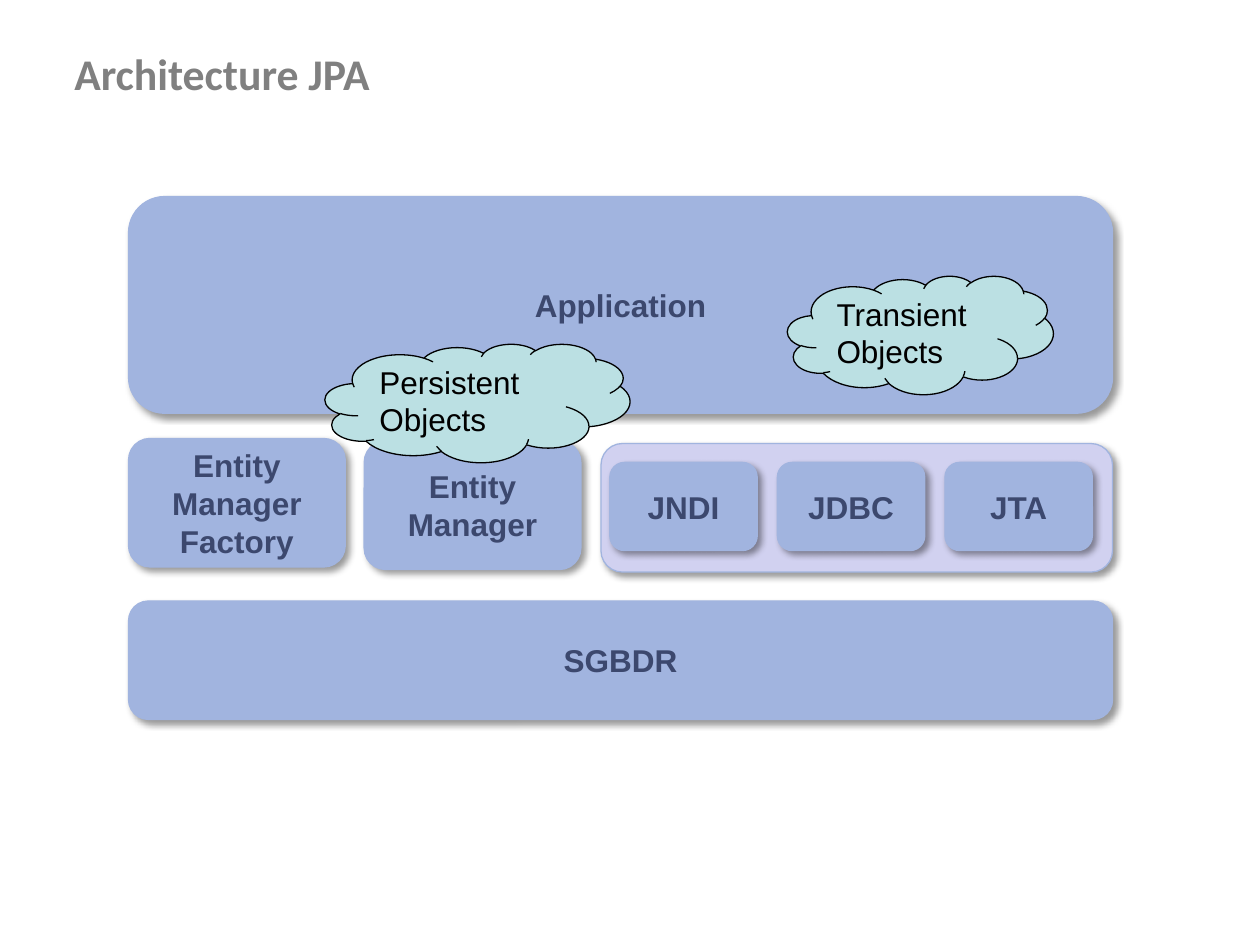
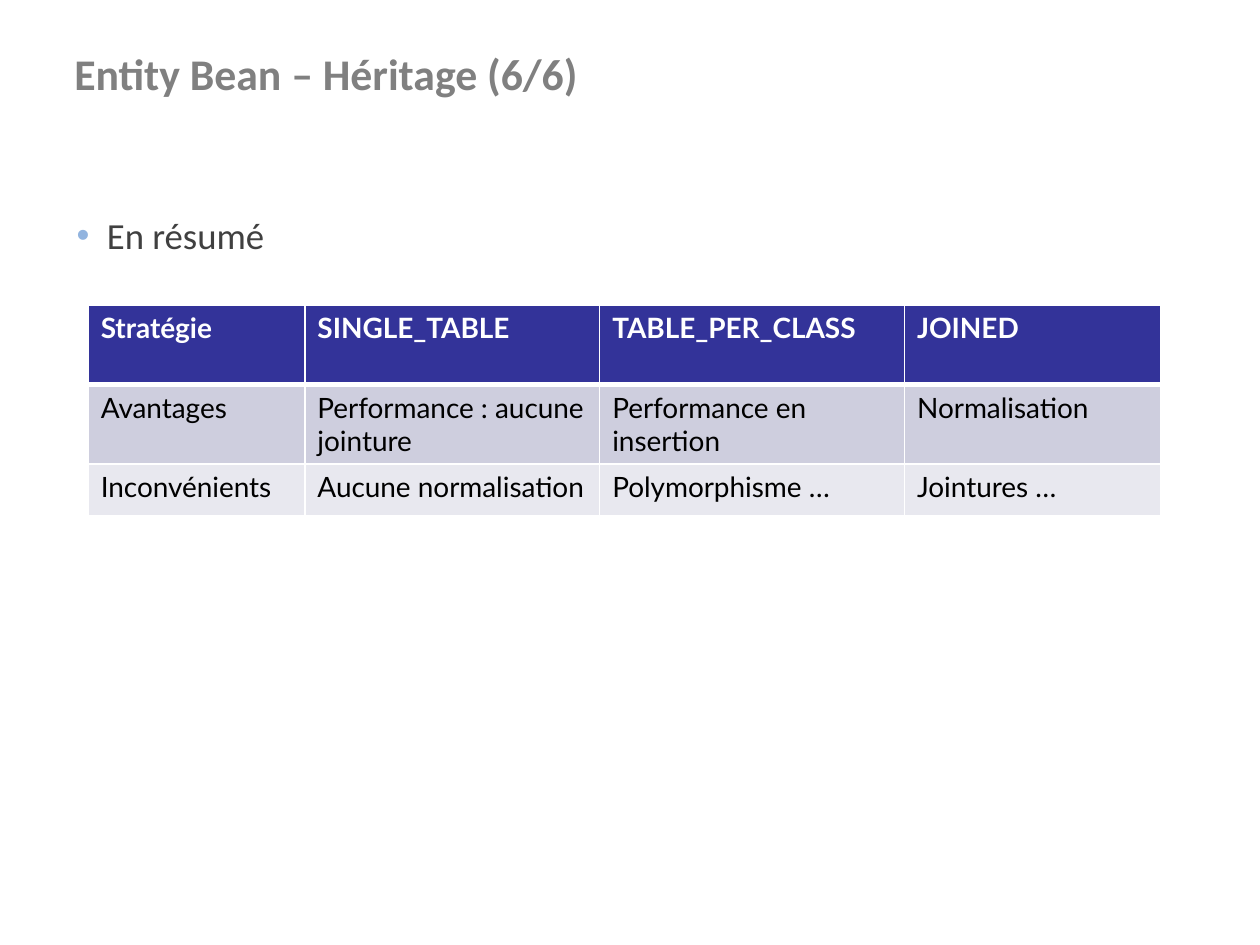
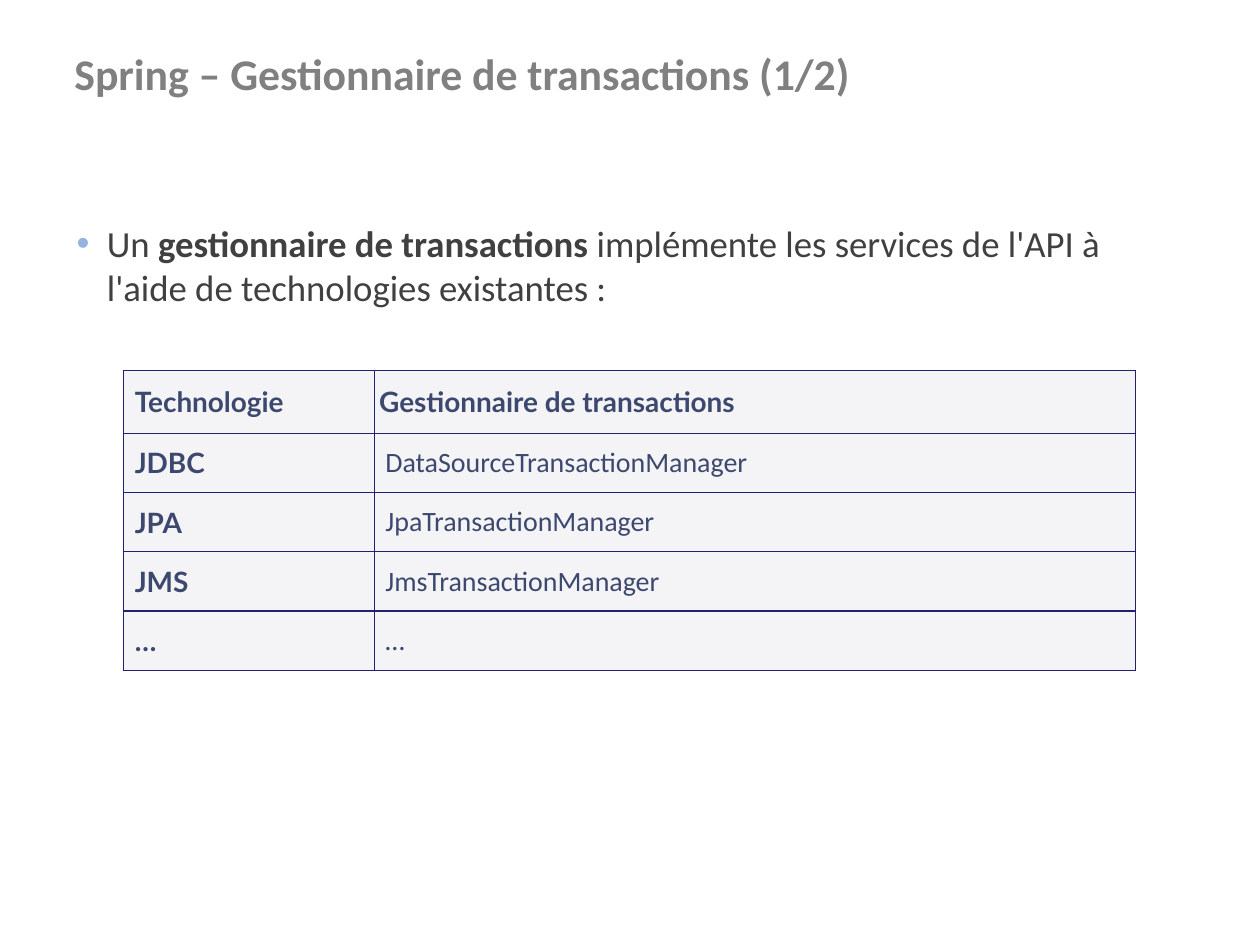
"""Build three slides on JPA architecture, inheritance strategies and transaction managers."""
import dataclasses
import typing

import lxml.etree
import pptx
import pptx.dml.color
import pptx.enum.shapes
import pptx.enum.text
import pptx.oxml.ns
import pptx.util

RGBColor = pptx.dml.color.RGBColor
Shape = pptx.enum.shapes.MSO_SHAPE
Align = pptx.enum.text.PP_ALIGN
Anchor = pptx.enum.text.MSO_ANCHOR
qn = pptx.oxml.ns.qn

SLIDE_WIDTH = pptx.util.Inches(10)
SLIDE_HEIGHT = pptx.util.Inches(7.5)
COLUMN = SLIDE_WIDTH / 100
ROW = SLIDE_HEIGHT / 75

WHITE = RGBColor(0xFF, 0xFF, 0xFF)
BLACK = RGBColor(0x00, 0x00, 0x00)
TITLE_GREY = RGBColor(0x80, 0x80, 0x80)
BODY_GREY = RGBColor(0x40, 0x40, 0x40)
BULLET_BLUE = RGBColor(0x92, 0xB4, 0xDF)
BLOCK_BLUE = RGBColor(0xA1, 0xB4, 0xDF)
GROUP_LILAC = RGBColor(0xD1, 0xD1, 0xF0)
CLOUD_TEAL = RGBColor(0xBB, 0xE0, 0xE3)
LABEL_NAVY = RGBColor(0x3C, 0x48, 0x6E)
HEADER_INDIGO = RGBColor(0x33, 0x33, 0x99)
BAND_DARK = RGBColor(0xCE, 0xCE, 0xDE)
BAND_LIGHT = RGBColor(0xE8, 0xE8, 0xEF)
GRID_NAVY = RGBColor(0x21, 0x21, 0x73)
CELL_PALE = RGBColor(0xF4, 0xF4, 0xF7)


@dataclasses.dataclass(frozen=True)
class Area:
    """A rectangle in grid columns and rows."""
    column: float
    row: float
    columns: float
    rows: float

    def box(self) -> tuple[int, int, int, int]:
        """Return left, top, width and height as lengths."""
        return (round(self.column * COLUMN), round(self.row * ROW),
                round(self.columns * COLUMN), round(self.rows * ROW))


@dataclasses.dataclass(frozen=True)
class Block:
    """A rounded block of the architecture."""
    text: str
    area: Area
    fill: RGBColor = BLOCK_BLUE


@dataclasses.dataclass(frozen=True)
class Cloud:
    """A cloud of objects above the blocks."""
    text: str
    area: Area


TITLE_AREA = Area(4.9, 3.2, 90.1, 6.4)
SERVICE_PITCH = 13.3
BLOCKS = [
    Block("", Area(47.7, 35.2, 40.6, 10.2), GROUP_LILAC),
    Block("SGBDR", Area(10.2, 47.7, 78.1, 9.4)),
    Block("Entity Manager Factory", Area(10.2, 34.8, 17.2, 10.2)),
    Block("Application", Area(10.2, 15.6, 78.1, 17.2)),
    Block("Entity Manager", Area(28.9, 35, 17.2, 10.2)),
    *(Block(name, Area(48.4 + SERVICE_PITCH * index, 36.7, 11.7, 7))
      for index, name in enumerate(("JNDI", "JDBC", "JTA"))),
]
CLOUDS = [
    Cloud("Transient\nObjects", Area(62.5, 21.9, 21.1, 9.4)),
    Cloud("Persistent Objects", Area(25.8, 27.3, 24.2, 9.4)),
]
STRATEGIES = [
    ["Stratégie", "SINGLE_TABLE", "TABLE_PER_CLASS", "JOINED"],
    ["Avantages", "Performance : aucune jointure", "Performance en insertion", "Normalisation"],
    ["Inconvénients", "Aucune normalisation", "Polymorphisme …", "Jointures …"],
]
MANAGERS = [
    ["Technologie", "Gestionnaire de transactions"],
    ["JDBC", "DataSourceTransactionManager"],
    ["JPA", "JpaTransactionManager"],
    ["JMS", "JmsTransactionManager"],
    ["…", "…"],
]


def write(frame: typing.Any, text: str, *, font: str, size: float, color: RGBColor,
          bold: bool = False, align: Align = Align.LEFT, anchor: Anchor = Anchor.TOP,
          emphasis: str = "") -> None:
    """Fill a text frame, one paragraph a line, with the emphasis in bold."""
    frame.word_wrap = True
    frame.vertical_anchor = anchor
    for index, line in enumerate(text.split("\n")):
        paragraph = frame.add_paragraph() if index else frame.paragraphs[0]
        paragraph.alignment = align
        parts = line.partition(emphasis) if emphasis else (line,)
        for part in filter(None, parts):
            run = paragraph.add_run()
            run.text = part
            run.font.name = font
            run.font.size = pptx.util.Pt(size)
            run.font.bold = bold or part == emphasis
            run.font.color.rgb = color


def add_color(parent: typing.Any, color: RGBColor) -> typing.Any:
    """Append an RGB colour element."""
    return lxml.etree.SubElement(parent, qn("a:srgbClr"), val=str(color))


def add_shadow(shape: typing.Any) -> None:
    """Give a shape a soft shadow to the lower right."""
    effects = shape._element.spPr.find(qn("a:effectLst"))
    shadow = lxml.etree.SubElement(
        effects, qn("a:outerShdw"), blurRad=str(pptx.util.Pt(4)), dist=str(pptx.util.Pt(3)),
        dir=str(45 * 60000), algn="tl", rotWithShape="0")
    lxml.etree.SubElement(add_color(shadow, BLACK), qn("a:alpha"), val="40000")


def add_titled_slide(presentation: typing.Any, title: str) -> typing.Any:
    """Add a title-only slide with the shared title style."""
    slide = presentation.slides.add_slide(presentation.slide_layouts[5])
    shape = slide.shapes.title
    shape.left, shape.top, shape.width, shape.height = TITLE_AREA.box()
    write(shape.text_frame, title, font="Calibri", size=25, color=TITLE_GREY, bold=True)
    shape.text_frame.auto_size = pptx.enum.text.MSO_AUTO_SIZE.NONE
    return slide


def add_outline(slide: typing.Any, kind: Shape, area: Area, fill: RGBColor,
                line: RGBColor) -> typing.Any:
    """Add a filled preset shape with a thin line."""
    shape = slide.shapes.add_shape(kind, *area.box())
    shape.shadow.inherit = False
    shape.fill.solid()
    shape.fill.fore_color.rgb = fill
    shape.line.color.rgb = line
    shape.line.width = pptx.util.Pt(0.75)
    return shape


def add_block(slide: typing.Any, block: Block) -> None:
    """Draw a shadowed block with its label."""
    shape = add_outline(slide, Shape.ROUNDED_RECTANGLE, block.area, block.fill, BLOCK_BLUE)
    add_shadow(shape)
    write(shape.text_frame, block.text, font="Arial", size=18, color=LABEL_NAVY,
          bold=True, align=Align.CENTER, anchor=Anchor.MIDDLE)


def add_cloud(slide: typing.Any, cloud: Cloud) -> None:
    """Draw a cloud with its label."""
    shape = add_outline(slide, Shape.CLOUD, cloud.area, CLOUD_TEAL, BLACK)
    write(shape.text_frame, cloud.text, font="Arial", size=18, color=BLACK,
          anchor=Anchor.MIDDLE)


def add_bullet(slide: typing.Any, text: str, area: Area, emphasis: str = "") -> None:
    """Add a bulleted body text."""
    frame = slide.shapes.add_textbox(*area.box()).text_frame
    write(frame, text, font="Calibri", size=21, color=BODY_GREY, emphasis=emphasis)
    properties = frame.paragraphs[0]._p.get_or_add_pPr()
    indent = pptx.util.Inches(0.24)
    properties.set("marL", str(indent))
    properties.set("indent", str(-indent))
    add_color(lxml.etree.SubElement(properties, qn("a:buClr")), BULLET_BLUE)
    lxml.etree.SubElement(properties, qn("a:buFont"), typeface="Arial")
    lxml.etree.SubElement(properties, qn("a:buChar"), char="•")


def add_grid(slide: typing.Any, area: Area, widths: list[float],
             heights: list[float]) -> typing.Any:
    """Add an unstyled table with the given column and row sizes."""
    table = slide.shapes.add_table(len(heights), len(widths), *area.box()).table
    table.first_row = table.horz_banding = False
    for column, width in zip(table.columns, widths):
        column.width = round(width * COLUMN)
    for row, height in zip(table.rows, heights):
        row.height = round(height * ROW)
    return table


def style_cell(cell: typing.Any, fill: RGBColor, border: RGBColor, width: float,
               **side_widths: float) -> None:
    """Fill a cell and draw its four borders."""
    properties = cell._tc.get_or_add_tcPr()
    for side in "LRTB":
        weight = pptx.util.Pt(side_widths.get(side, width))
        line = lxml.etree.SubElement(properties, qn(f"a:ln{side}"), w=str(weight))
        add_color(lxml.etree.SubElement(line, qn("a:solidFill")), border)
    cell.fill.solid()
    cell.fill.fore_color.rgb = fill


def build_architecture(presentation: typing.Any) -> None:
    """Build the architecture diagram."""
    slide = add_titled_slide(presentation, "Architecture JPA")
    for block in BLOCKS:
        add_block(slide, block)
    for cloud in CLOUDS:
        add_cloud(slide, cloud)


def build_inheritance(presentation: typing.Any) -> None:
    """Build the table of inheritance strategies."""
    slide = add_titled_slide(presentation, "Entity Bean – Héritage (6/6)")
    add_bullet(slide, "En résumé", Area(5.1, 16.4, 90, 45.5))
    table = add_grid(slide, Area(7, 24.2, 85.1, 14.5), [17.2, 23.4, 24.2, 20.3], [6.3, 4.1, 4.1])
    fills = [HEADER_INDIGO, BAND_DARK, BAND_LIGHT]
    header_edges = [{"B": 3}, {"T": 3}, {}]
    for row, texts in enumerate(STRATEGIES):
        header = row == 0
        for column, text in enumerate(texts):
            cell = table.cell(row, column)
            style_cell(cell, fills[row], WHITE, 1, **header_edges[row])
            write(cell.text_frame, text, font="Lato", size=16,
                  color=WHITE if header else BLACK, bold=header)


def build_transactions(presentation: typing.Any) -> None:
    """Build the table of transaction managers."""
    slide = add_titled_slide(presentation, "Spring – Gestionnaire de transactions (1/2)")
    add_bullet(slide, "Un gestionnaire de transactions implémente les services de l'API à "
               "l'aide de technologies existantes :", Area(5.1, 17, 90, 44.9),
               emphasis="gestionnaire de transactions")
    table = add_grid(slide, Area(9.8, 29.4, 80.3, 23.8), [19.9, 60.4], [5] + [4.7] * 4)
    for row, texts in enumerate(MANAGERS):
        for column, text in enumerate(texts):
            cell = table.cell(row, column)
            label = row == 0 or column == 0
            style_cell(cell, CELL_PALE, GRID_NAVY, 0.75)
            write(cell.text_frame, text, font="Lato" if label else "Calibri", size=16,
                  color=LABEL_NAVY, bold=label)
            cell.vertical_anchor = Anchor.MIDDLE
            cell.margin_left = pptx.util.Inches(0.04 if (row, column) == (0, 1) else 0.09)
            cell.margin_right = pptx.util.Inches(0.04)
            cell.margin_top = cell.margin_bottom = pptx.util.Inches(0.02)


def main() -> None:
    """Build and save the presentation."""
    presentation = pptx.Presentation()
    presentation.slide_width = SLIDE_WIDTH
    presentation.slide_height = SLIDE_HEIGHT
    build_architecture(presentation)
    build_inheritance(presentation)
    build_transactions(presentation)
    presentation.save("out.pptx")


if __name__ == "__main__":
    main()
